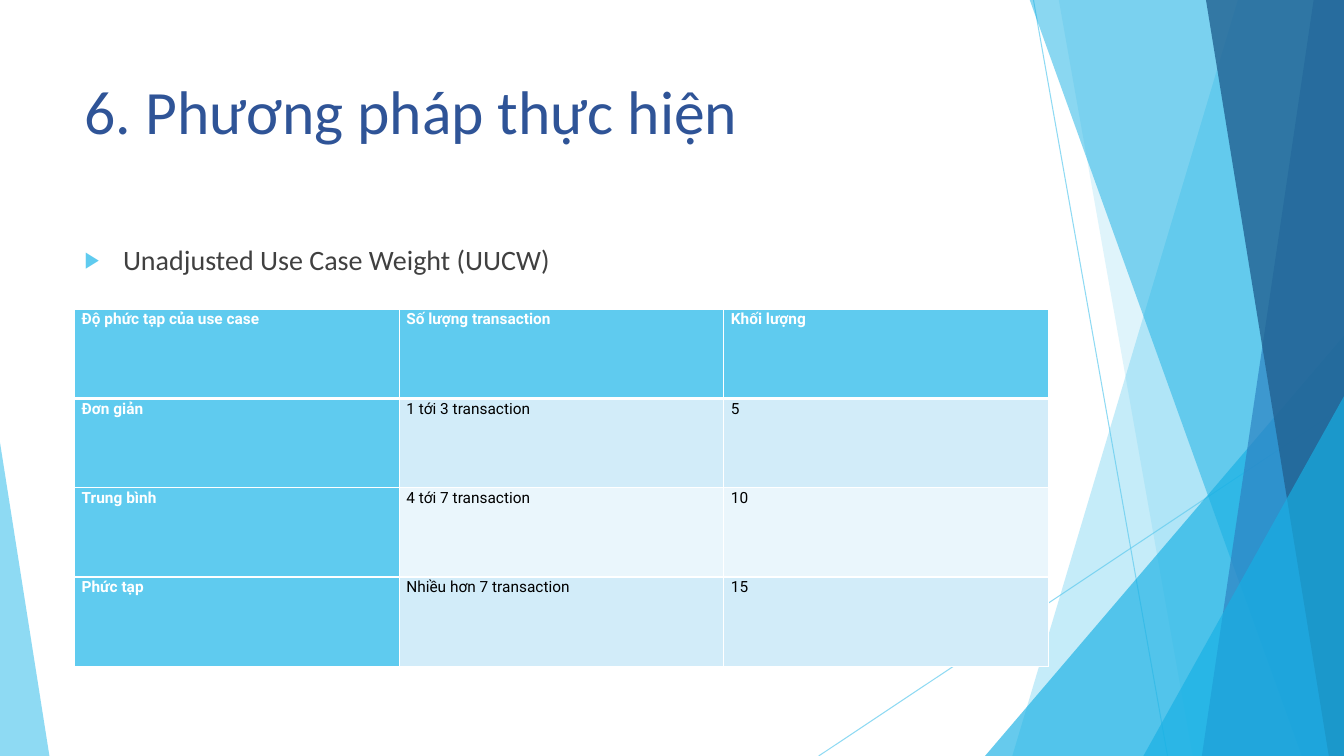
from lxml import etree
from pptx import Presentation
from pptx.dml.color import RGBColor
from pptx.enum import shapes, text
from pptx.oxml import ns
from pptx.util import Inches, Pt

SKY, CYAN, BLUE, NAVY, WHITE = "5FCBEF", "17B0E4", "2E83C3", "226292", "FFFFFF"
TOP, BOTTOM, RIGHT = -0.01, 7.5, 13.33

THIN_LINES = [((10.25, 0), (11.58, BOTTOM)), ((RIGHT, 4.03), (8.12, BOTTOM))]
# Each band runs from its top-left and bottom-left corners to the right edge:
# top x, bottom x, colour, opacity
LOWER_BANDS = [(12.28, 10.04, SKY, 36), (10.5, 11.83, SKY, 20)]
UPPER_BANDS = [(10.21, 12.91, CYAN, 50), (13.03, 11.92, BLUE, 70),
               (11.96, 13.18, NAVY, 80)]

ROWS = [
    ("Độ phức tạp của use case", "Số lượng transaction", "Khối lượng"),
    ("Đơn giản", "1 tới 3 transaction", "5"),
    ("Trung bình", "4 tới 7 transaction", "10"),
    ("Phức tạp", "Nhiều hơn 7 transaction", "15"),
]


def paint(color_format, value, opacity=100):
    """Set a colour from a hex string, with an opacity in percent."""
    color_format.rgb = RGBColor.from_string(value)
    if opacity < 100:
        for node in color_format._xFill.iter(ns.qn("a:srgbClr")):
            add_node(node, "a:alpha", val=opacity * 1000)


def add_node(parent, tag, **attributes):
    """Append an XML element with the given attributes."""
    node = etree.SubElement(parent, ns.qn(tag))
    for name, value in attributes.items():
        node.set(name, str(value))
    return node


def fill_flat(shape, color, opacity):
    """Give a shape a translucent fill with no outline or shadow."""
    shape.shadow.inherit = False
    shape.fill.solid()
    paint(shape.fill.fore_color, color, opacity)
    shape.line.fill.background()


def add_thin_line(page, start, end):
    """Draw one of the fine diagonal lines."""
    line = page.shapes.add_connector(
        shapes.MSO_CONNECTOR.STRAIGHT, *map(Inches, start + end))
    line.line.width = Pt(0.75)
    line.line.fill.solid()
    paint(line.line.fill.fore_color, SKY, 70)
    add_node(line._element.spPr, "a:effectLst")


def add_band(page, top_x, bottom_x, color, opacity):
    """Draw a slanted band that reaches the right edge of the slide."""
    corners = [(top_x, TOP), (RIGHT, TOP), (RIGHT, BOTTOM), (bottom_x, BOTTOM)]
    points = [(Inches(x), Inches(y)) for x, y in corners]
    builder = page.shapes.build_freeform(*points[0])
    builder.add_line_segments(points[1:], close=True)
    fill_flat(builder.convert_to_shape(), color, opacity)


def add_triangle(page, left, top, width, apex, color, opacity):
    """Draw a right triangle standing on the bottom edge."""
    triangle = page.shapes.add_shape(
        shapes.MSO_SHAPE.ISOSCELES_TRIANGLE, Inches(left), Inches(top),
        Inches(width), Inches(BOTTOM - top))
    triangle.adjustments[0] = apex
    fill_flat(triangle, color, opacity)


def add_decoration(page):
    """Draw the facets along the sides of the slide."""
    for start, end in THIN_LINES:
        add_thin_line(page, start, end)
    for band in LOWER_BANDS:
        add_band(page, *band)
    add_triangle(page, 9.77, 3.33, 3.56, 1, CYAN, 66)
    for band in UPPER_BANDS:
        add_band(page, *band)
    add_triangle(page, 11.34, 3.93, 1.99, 1, CYAN, 66)
    add_triangle(page, 0, 4.39, 0.49, 0, SKY, 70)


def write(frame, words, font="Calibri", size=11, color="000000", bold=False,
          before=0, after=0, spacing=1.0):
    """Write one left-aligned paragraph and return it."""
    para = frame.paragraphs[0]
    para.alignment = text.PP_ALIGN.LEFT
    para.line_spacing = spacing
    para.space_before, para.space_after = Pt(before), Pt(after)
    span = para.add_run()
    span.text = words
    span.font.name, span.font.size, span.font.bold = font, Pt(size), bold
    paint(span.font.color, color)
    return para


def place(box, left, top, width, height):
    """Move a placeholder, bring it forward and anchor its text at the top."""
    box.left, box.top = Inches(left), Inches(top)
    box.width, box.height = Inches(width), Inches(height)
    box.text_frame.vertical_anchor = text.MSO_ANCHOR.TOP
    box.text_frame.auto_size = text.MSO_AUTO_SIZE.NONE
    box.element.getparent().append(box.element)
    return box.text_frame


def add_bullet(para):
    """Give a paragraph a hanging triangular bullet."""
    props = para._p.get_or_add_pPr()
    props.set("marL", str(Inches(0.38)))
    props.set("indent", str(Inches(-0.38)))
    add_node(add_node(props, "a:buClr"), "a:srgbClr", val=SKY)
    add_node(props, "a:buSzPct", val=80000)
    add_node(props, "a:buFont", typeface="Arial")
    add_node(props, "a:buChar", char="▶")


def add_border(cell, side, width):
    """Draw a white border on one side (L, R, T or B) of a cell."""
    edge = add_node(cell._tc.get_or_add_tcPr(), "a:ln" + side, w=Pt(width))
    add_node(add_node(edge, "a:solidFill"), "a:srgbClr", val=WHITE)


def format_cell(cell, words, row, column):
    """Fill, border and write one cell according to its position."""
    heading = row == 0 or column == 0
    for side in "LRTB":
        thick = (row, side) in ((0, "B"), (1, "T"))
        add_border(cell, side, 3 if thick else 1)
    cell.fill.solid()
    stripe = "D2ECF9" if row % 2 else "EAF6FC"
    paint(cell.fill.fore_color, SKY if heading else stripe)
    cell.margin_left = cell.margin_right = Inches(0.07)
    cell.margin_top = cell.margin_bottom = 0
    write(cell.text_frame, words, font="Roboto", bold=heading,
          color=WHITE if heading else "000000", after=8, spacing=1.07)


def add_weight_table(page):
    """Add the table of use case weights."""
    table = page.shapes.add_table(
        len(ROWS), len(ROWS[0]), Inches(0.74), Inches(3.07),
        Inches(9.66), Inches(3.54)).table
    table.first_col = True
    for row, entries in enumerate(ROWS):
        for column, words in enumerate(entries):
            format_cell(table.cell(row, column), words, row, column)


def main():
    """Build the slide and save the deck."""
    deck = Presentation()
    deck.slide_width, deck.slide_height = Inches(RIGHT), Inches(BOTTOM)
    page = deck.slides.add_slide(deck.slide_layouts[1])
    add_decoration(page)
    title, body = page.shapes.title, page.placeholders[1]
    write(place(title, 0.74, 0.67, 9.4, 1.44), "6. Phương pháp thực hiện",
          size=44, color="2F5497")
    add_bullet(write(place(body, 0.74, 2.36, 9.4, 4.25),
                     "Unadjusted Use Case Weight (UUCW)",
                     size=20, color="404040", before=10))
    add_weight_table(page)
    deck.save("out.pptx")


main()
